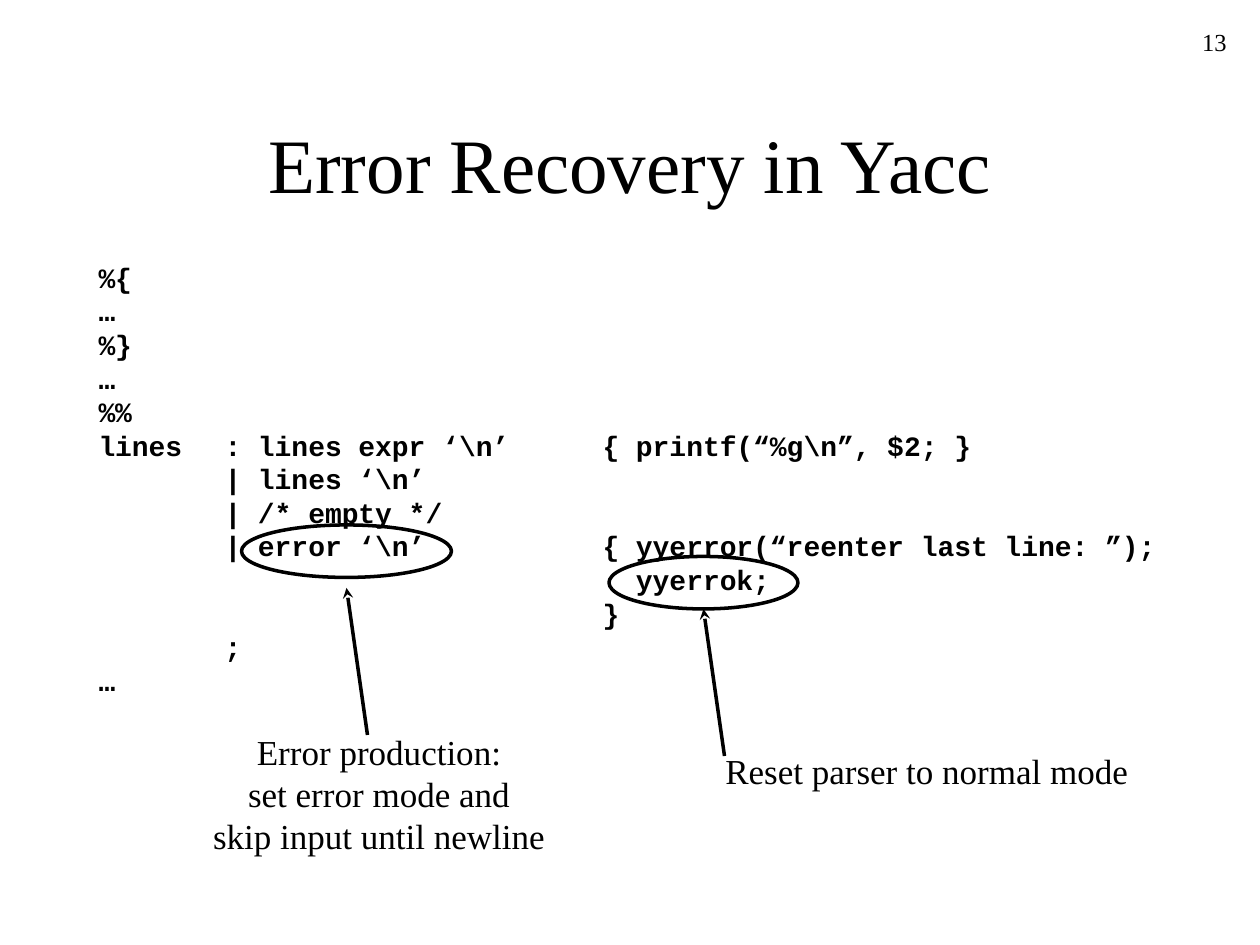
from dataclasses import dataclass

from lxml.etree import SubElement as Sub
from pptx import Presentation
from pptx.dml.color import RGBColor as Rgb
from pptx.enum.shapes import MSO_CONNECTOR as Conn, MSO_SHAPE as Kind
from pptx.enum.text import MSO_ANCHOR as Anchor, PP_ALIGN as Align
from pptx.oxml.ns import qn
from pptx.util import Inches, Length, Pt

COLORS = {"ink": "000000", "page": "FFFFFF"}
SERIF, MONO = "Times New Roman", "Courier New"
CELL = Inches(1) / 12  # the slide is 120 columns by 90 rows
TABS = range(8)  # one tab stop an inch


@dataclass
class Label:
    at: tuple[float, float, float, float]  # column, row, columns, rows
    paras: list[str]
    size: int
    font: str = SERIF
    bold: bool = False
    align: Align = Align.LEFT
    anchor: Anchor = Anchor.TOP
    wrap: bool = False


@dataclass
class Callout:
    ring: tuple[float, float, float, float]
    tail: tuple[float, float]
    tip: tuple[float, float]


def grid(*cells: float) -> list[Length]:
    return [Length(round(n * CELL)) for n in cells]


def ink(name: str) -> Rgb:
    return Rgb.from_string(COLORS[name])


def add_tabs(para) -> None:
    stops = Sub(para._p.get_or_add_pPr(), qn("a:tabLst"))
    for inch in TABS:
        Sub(stops, qn("a:tab"), pos=str(Inches(inch)), algn="l")


def add_label(slide, label: Label) -> None:
    frame = slide.shapes.add_textbox(*grid(*label.at)).text_frame
    frame.word_wrap = label.wrap
    frame.vertical_anchor = label.anchor
    for i, text in enumerate(label.paras):
        para = frame.add_paragraph() if i else frame.paragraphs[0]
        para.alignment = label.align
        add_tabs(para)
        for j, line in enumerate(text.split("\n")):
            if j:
                para.add_line_break()
            run = para.add_run()
            run.text = line
            font = run.font
            font.name, font.size, font.bold = label.font, Pt(label.size), label.bold
            font.color.rgb = ink("ink")


def set_line(line) -> None:
    line.color.rgb = ink("ink")
    line.width = Pt(2)


def add_callout(slide, call: Callout) -> None:
    ring = slide.shapes.add_shape(Kind.OVAL, *grid(*call.ring))
    ring.shadow.inherit = False
    ring.fill.background()
    set_line(ring.line)
    arrow = slide.shapes.add_connector(Conn.STRAIGHT, *grid(*call.tail, *call.tip))
    set_line(arrow.line)
    Sub(arrow.line._get_or_add_ln(), qn("a:tailEnd"), type="stealth")
    Sub(arrow._element.spPr, qn("a:effectLst"))


CODE = [
    "%{\n…",
    "%}\n…",
    "\n".join([
        "%%",
        "lines\t: lines expr ‘\\n’\t{ printf(“%g\\n”, $2; }",
        "\t| lines ‘\\n’",
        "\t| /* empty */",
        "\t| error ‘\\n’\t\t{ yyerror(“reenter last line: ”);",
        "\t\t\t\t  yyerrok;",
        "\t\t\t\t}",
        "\t;",
        "…",
    ]),
]

LABELS = [
    # Page number and title
    Label((93, 2, 25, 6), ["13"], 14, align=Align.RIGHT, wrap=True),
    Label((9, 8, 102, 15), ["Error Recovery in Yacc"], 44,
          align=Align.CENTER, anchor=Anchor.MIDDLE, wrap=True),
    # Grammar listing
    Label((8.2, 24.2, 103.1, 42.8), CODE, 16, MONO, bold=True),
    # Notes on the ringed code
    Label((67.9, 70.8, 40.8, 5.3), ["Reset parser to normal mode"], 20),
    Label((19.1, 69, 34, 13.2),
          ["Error production:\nset error mode and\nskip input until newline"],
          20, align=Align.CENTER),
]

CALLOUTS = [
    Callout(ring=(58, 53, 18, 5), tail=(69, 72), tip=(67, 58)),
    Callout(ring=(23, 50, 20, 5), tail=(35, 70), tip=(33, 56)),
]


def main() -> None:
    deck = Presentation()
    deck.slide_width, deck.slide_height = grid(120, 90)
    slide = deck.slides.add_slide(deck.slide_layouts[6])
    fill = slide.background.fill
    fill.solid()
    fill.fore_color.rgb = ink("page")
    for label in LABELS:
        add_label(slide, label)
    for call in CALLOUTS:
        add_callout(slide, call)
    deck.save("out.pptx")


if __name__ == "__main__":
    main()
